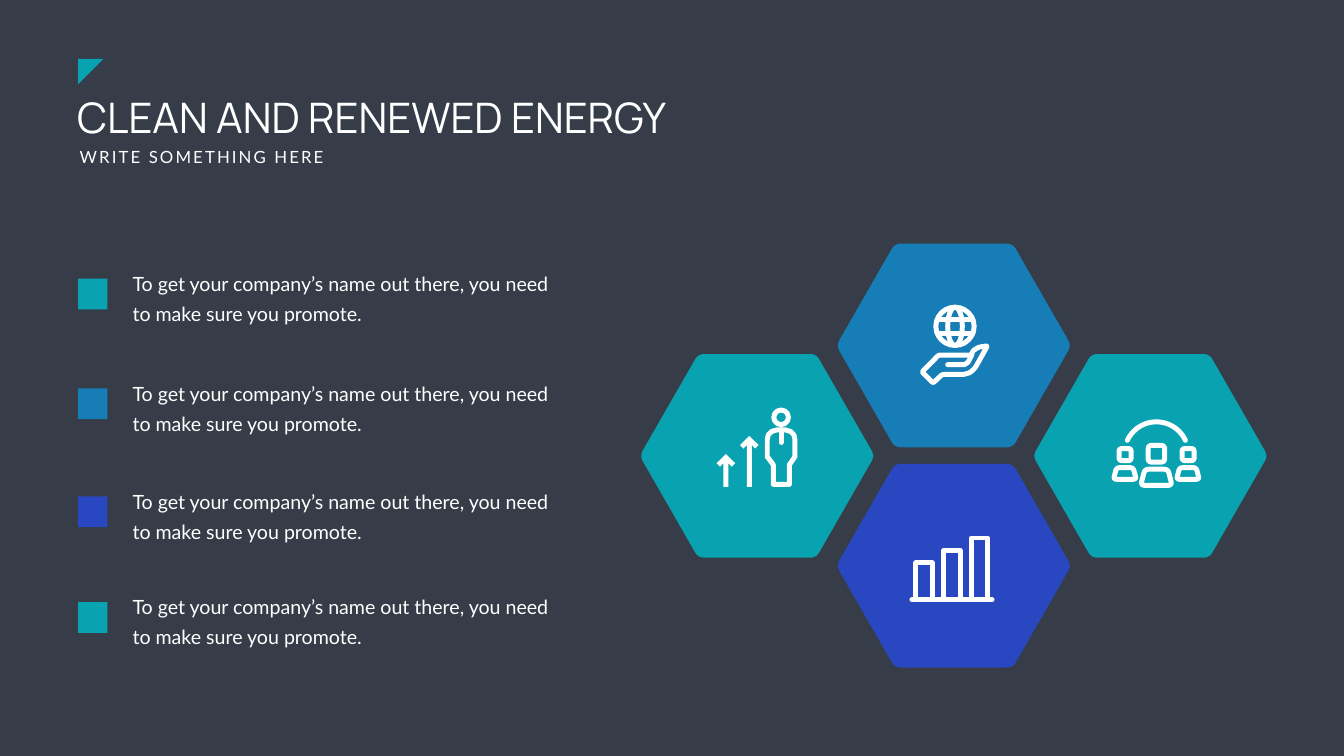
from math import cos, dist, radians, sin
from pptx import Presentation
from pptx.dml.color import RGBColor
from pptx.enum.shapes import MSO_SHAPE
from pptx.enum.text import MSO_ANCHOR, MSO_AUTO_SIZE, PP_ALIGN
from pptx.oxml.ns import qn
from pptx.util import Cm, Pt

NAVY = RGBColor(0x36, 0x3D, 0x48)
WHITE = RGBColor(0xFF, 0xFF, 0xFF)
TEAL = RGBColor(0x09, 0xA2, 0xB1)
BLUE = RGBColor(0x16, 0x7D, 0xB7)
INDIGO = RGBColor(0x28, 0x47, 0xC0)
UNIT = Cm(0.0254)
STROKE = Cm(0.25)

presentation = Presentation()
presentation.slide_width = Cm(67.72)
presentation.slide_height = Cm(38.1)
slide = presentation.slides.add_slide(presentation.slide_layouts[0])
slide.background.fill.solid()
slide.background.fill.fore_color.rgb = NAVY
shapes = slide.shapes


def paint(shape, fill=None, stroke=None):
    shape.shadow.inherit = False
    for part, color in ((shape.fill, fill), (shape.line.fill, stroke and WHITE)):
        if color is None:
            part.background()
        else:
            part.solid()
            part.fore_color.rgb = color
    if stroke:
        shape.line.width = stroke
        shape.element.spPr.find(qn("a:ln")).set("cap", "rnd")


def trace(contours):
    builder = None
    for points, radius, closed in contours:
        trail = points
        if radius:
            trail = []
            for index, corner in enumerate(points):
                ends = []
                for near in (points[index - 1], points[(index + 1) % len(points)]):
                    share = min(0.5, radius / dist(corner, near))
                    ends.append([c + (n - c) * share for c, n in zip(corner, near)])
                for step in range(6):
                    t = step / 5
                    trail.append([(1 - t) ** 2 * a + 2 * t * (1 - t) * c + t ** 2 * b
                                  for a, c, b in zip(ends[0], corner, ends[1])])
        trail = [(x * UNIT, y * UNIT) for x, y in trail]
        if builder is None:
            builder = shapes.build_freeform(*trail[0])
        else:
            builder.move_to(*trail[0])
        builder.add_line_segments(trail[1:], close=closed)
    return builder.convert_to_shape()


title, subtitle = slide.placeholders
item_text = "To get your company’s name out there, you need to make sure you promote."
texts = [
    (title, "CLEAN AND RENEWED ENERGY", (3.63, 4.47, 36.4, 2.82), 60, "Manrope"),
    (subtitle, "WRITE SOMETHING HERE", (3.76, 7.29, 13.06, 1.27), 24, "Lato"),
]
items = [(13.23, TEAL), (18.77, BLUE), (24.21, INDIGO), (29.54, TEAL)]
for top, color in items:
    marker = shapes.add_shape(MSO_SHAPE.RECTANGLE, Cm(3.94), Cm(top + 0.81), Cm(1.47), Cm(1.55))
    paint(marker, color)
    box = shapes.add_textbox(0, 0, 0, 0)
    texts.append((box, item_text, (6.43, top, 21.79, 3.18), 28, "Lato"))

for shape, text, place, size, font_name in texts:
    shape.left, shape.top, shape.width, shape.height = map(Cm, place)
    frame = shape.text_frame
    frame.text = text
    paragraph = frame.paragraphs[0]
    font = paragraph.runs[0].font
    formats = [
        (frame, {"word_wrap": shape is not subtitle, "auto_size": MSO_AUTO_SIZE.NONE,
                 "vertical_anchor": MSO_ANCHOR.TOP}),
        (paragraph, {"alignment": PP_ALIGN.LEFT, "space_before": Pt(0)}),
        (font, {"name": font_name, "size": Pt(size)}),
    ]
    for target, values in formats:
        for name, value in values.items():
            setattr(target, name, value)
    font.color.rgb = WHITE
    if text == item_text:
        paragraph.line_spacing = Pt(43)
subtitle.text_frame.paragraphs[0].runs[0].font._element.set("spc", "300")

triangle = shapes.add_shape(MSO_SHAPE.RIGHT_TRIANGLE, Cm(3.94), Cm(2.97), Cm(1.27), Cm(1.27))
triangle.rotation = 90
paint(triangle, TEAL)

hexagon = [(233, 0), (117, 202), (-117, 202), (-233, 0), (-117, -202), (117, -202)]
for center_x, center_y, color in [(1502, 904.5, TEAL), (1892, 685.5, BLUE),
                                  (1892, 1122.5, INDIGO), (2282, 904.5, TEAL)]:
    points = [(center_x + x, center_y + y) for x, y in hexagon]
    paint(trace([(points, 12, True)]), color)

for x, top in [(1440, 901), (1486.5, 865)]:
    half = [(18.5, top + 18), (11.5, top + 25), (5, top + 18), (5, 966)]
    arrow = [(x, top)] + [(x + dx, y) for dx, y in half] + [(x - dx, y) for dx, y in half[::-1]]
    paint(trace([(arrow, 0, True)]), WHITE)

body = [(1534, 922), (1534, 961), (1566, 961), (1566, 922), (1577, 906), (1577, 872),
        (1575, 863), (1568, 856), (1558, 853), (1541, 853), (1531, 856), (1524, 863),
        (1522, 872), (1522, 906)]
tie = [(1549.5, 853), (1549.5, 878)]
palm = [(1869, 743), (1851, 760), (1829, 738), (1862, 704.5), (1927, 704.5), (1930, 696),
        (1941, 689), (1959, 686), (1935, 729), (1925, 739), (1912, 743)]
thumb = [(1880, 723.5), (1913, 723.5), (1920, 719), (1928, 704)]
parallels = [([(1859, y), (1930, y)], 0, False) for y in (633.5, 661.5)]
bars = [([(x, 1190), (x, top), (x + 32.5, top), (x + 32.5, 1190)], 0, True)
        for x, top in ((1817, 1117), (1872, 1092), (1926.5, 1067.5))]
baseline = [(1809, 1190), (1968, 1190)]
leader_head = [(2277.5, 883.5), (2310.5, 883.5), (2310.5, 917), (2277.5, 917)]
leader_body = [(2271, 931), (2317, 931), (2325, 963), (2263, 963)]
member_head = [(2220, 890), (2244, 890), (2244, 914), (2220, 914)]
member_body = [(2215, 928), (2248, 928), (2254, 951), (2209, 951)]
arc = [(2294 + 63.5 * sin(radians(angle)), 900.5 - 63.5 * cos(radians(angle)))
       for angle in range(-65, 66, 5)]

drawings = [
    [(body, 0, True), (tie, 0, False)],
    [(palm, 4, True), (thumb, 0, False)],
    parallels,
    bars + [(baseline, 0, False)],
    [(leader_head, 8, True)],
    [(leader_body, 8, True)],
    [(arc, 0, False)],
]
for shift in (0, 125):
    for part in (member_head, member_body):
        drawings.append([([(x + shift, y) for x, y in part], 6, True)])
for contours in drawings:
    paint(trace(contours), stroke=STROKE)

for x, y, radius_x, radius_y in [(1549.5, 828, 14.5, 14.5), (1894.5, 647.5, 38, 38),
                                 (1894.5, 647.5, 14.5, 38)]:
    place = (x - radius_x, y - radius_y, 2 * radius_x, 2 * radius_y)
    paint(shapes.add_shape(MSO_SHAPE.OVAL, *(int(value * UNIT) for value in place)), stroke=STROKE)

presentation.save("out.pptx")
